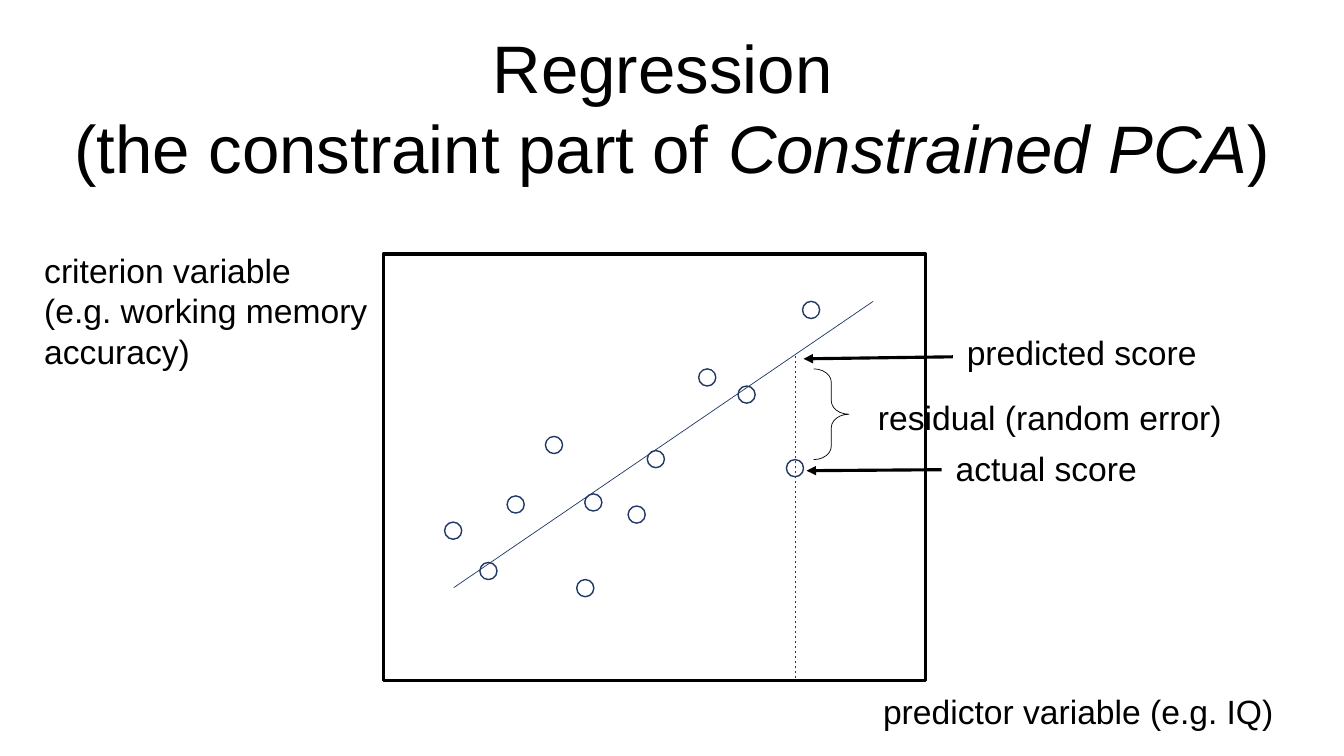
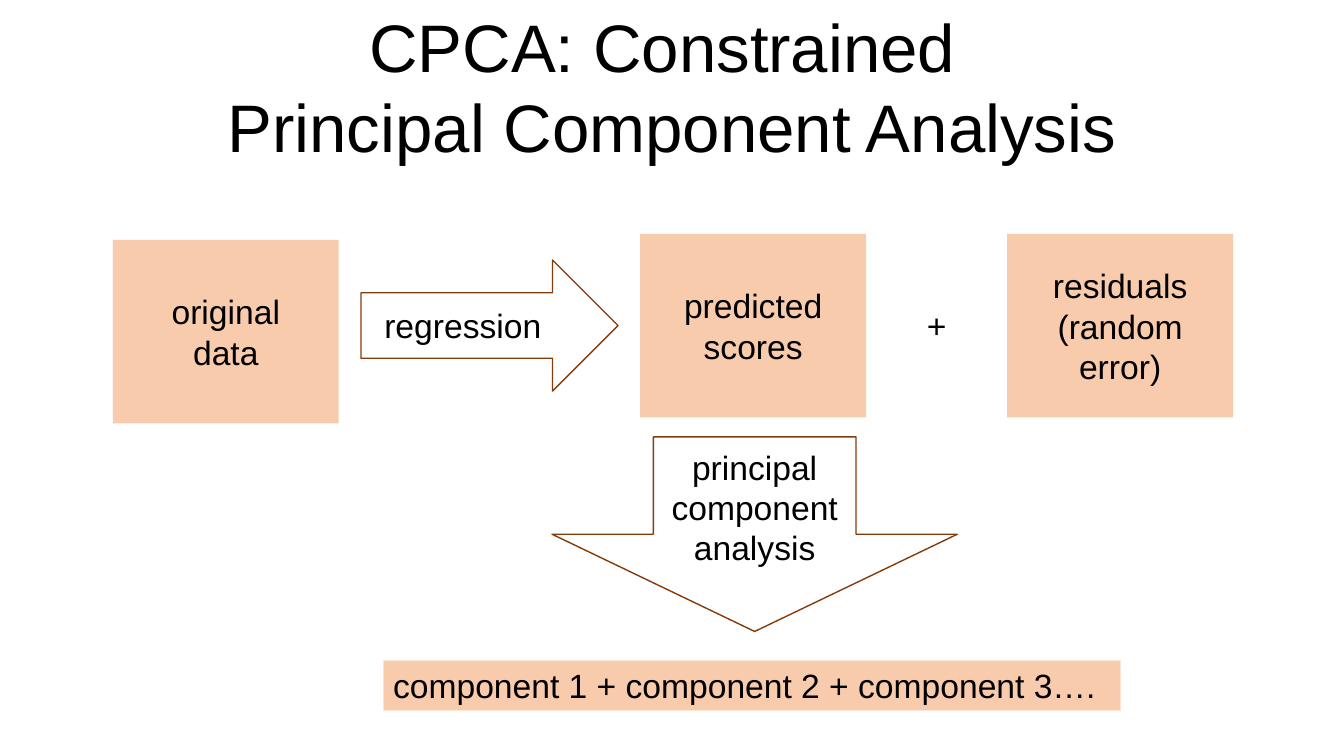
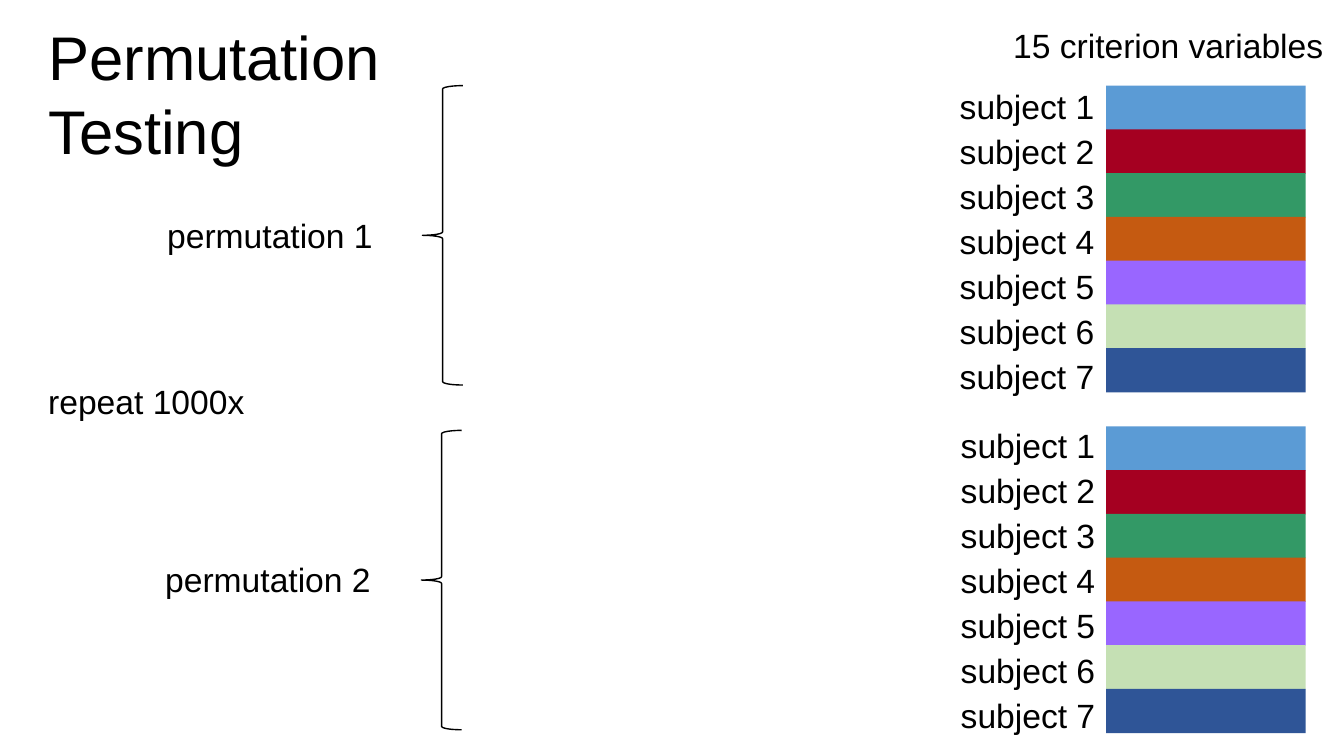
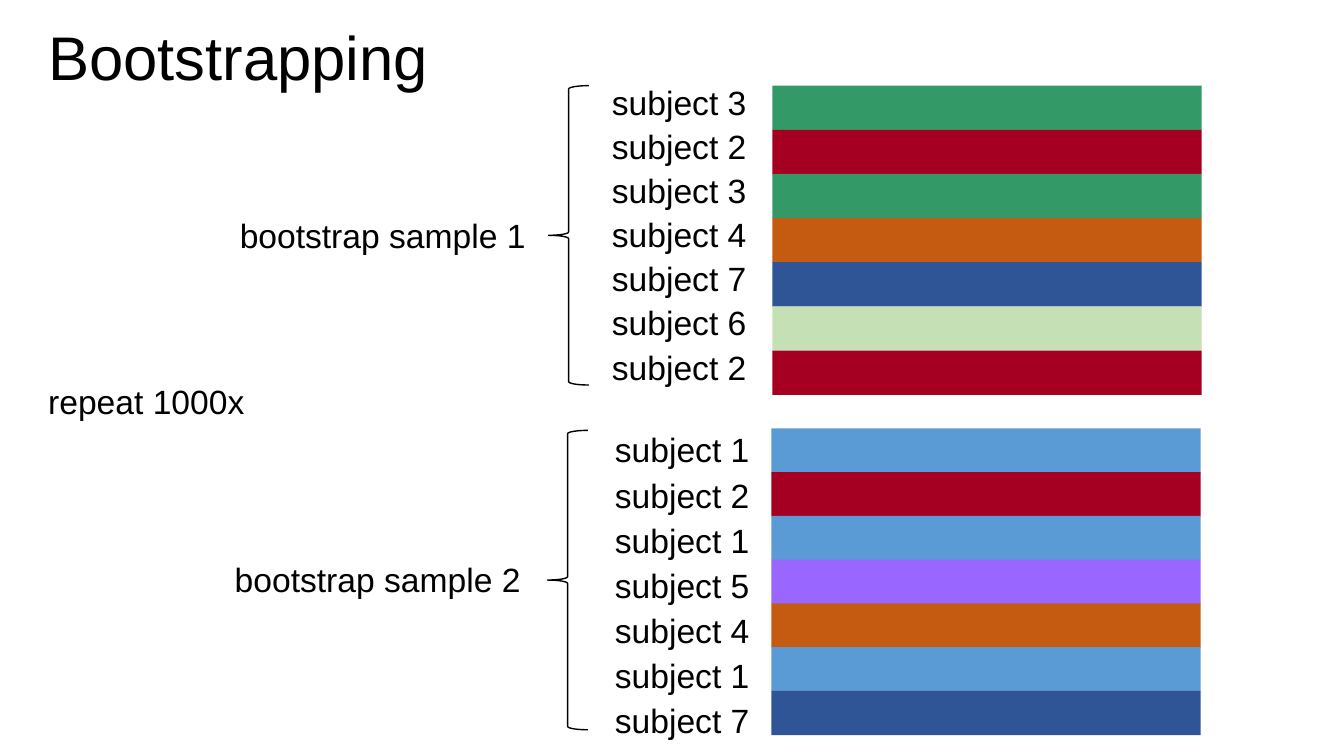
from dataclasses import dataclass

from lxml.etree import SubElement
from pptx import Presentation
from pptx.dml.color import RGBColor
from pptx.enum.dml import MSO_LINE
from pptx.enum.shapes import MSO_CONNECTOR, MSO_SHAPE
from pptx.enum.text import MSO_ANCHOR, PP_ALIGN
from pptx.oxml.ns import qn
from pptx.util import Inches, Pt


@dataclass(frozen=True)
class Theme:
    font: str = "Arial"
    title: int = 48
    side_title: int = 44
    body: int = 24
    ink: str = "000000"
    plot: str = "203864"
    panel: str = "F8CBAD"
    panel_edge: str = "FBE5D6"
    arrow: str = "843C0B"
    subjects: tuple = ("5B9BD5", "A50021", "339966", "C55A11",
                       "9966FF", "C5E0B4", "2F5597")


THEME = Theme()
CELL = Inches(0.1)

REGRESSION_TITLE = ("Regression ",
                    ("(the constraint part of ", "Constrained PCA", ")"))
PLOT_FRAME = (38, 25.2, 53.8, 42.3)
POINT_SIZE = 1.7
POINTS = [(69.3, 36.6), (47.6, 55.8), (54.1, 43.3), (50.3, 49.2),
          (64.2, 44.7), (58, 49), (44.1, 51.8), (78, 45.6),
          (57.2, 57.5), (62.3, 50.2), (73.2, 38.3), (79.6, 29.9)]
FIT_LINE = (45, 58.3, 86.6, 29.9)
DROP_LINE = (78.9, 67.3, 78.9, 35.3)
PLOT_LABELS = [
    ((3.4, 24.3, 34.1, 13.1),
     ("criterion variable", "(e.g. working memory accuracy)")),
    ((86.6, 68.1, 43.9, 5), ("predictor variable (e.g. IQ)",)),
    ((94.9, 32.4, 25.8, 5), ("predicted score",)),
    ((93.8, 43.9, 25.8, 5), ("actual score",)),
    ((86.1, 38.9, 36.4, 5), ("residual (random error)",)),
]
RESIDUAL_BRACE = (80.7, 36.6, 3.5, 9)
POINTERS = [(94.5, 35.4, 79.7, 35.6), (93.4, 46.6, 80, 46.7)]

CPCA_TITLE = ("CPCA: Constrained ", "Principal Component Analysis")
PANEL_SIZE = (22.4, 18.2)
PANELS = [
    ((11.2, 23.8), ("original", "data")),
    ((63.5, 23.2), ("predicted", "scores")),
    ((99.9, 23.2), ("residuals", "(random", "error)")),
]
ARROWS = [
    (MSO_SHAPE.RIGHT_ARROW, (35.8, 25.8, 25.5, 13)),
    (MSO_SHAPE.DOWN_ARROW, (54.75, 43.35, 40.2, 19.3)),
]
STEP_LABELS = [
    ((37, 29.8, 17.8, 5), ("regression",)),
    ((65.5, 43.8, 18.7, 13.1), ("principal", "component", "analysis")),
    ((90.9, 29.8, 4, 5), ("+",)),
]
COMPONENT_BAR = (38, 65.5, 73.1, 5)
COMPONENTS = ("component 1 + component 2 + component 3….",)

REPEAT = ((3.8, 37.3, 21.7, 5), ("repeat 1000x",))
BAR_HEIGHT = 4.4
LABEL_SIZE = (15.5, 5)
BRACE_SIZE = (4, 29.7)
IN_ORDER = (1, 2, 3, 4, 5, 6, 7)
RESAMPLING = [
    {
        "title": ("Permutation", "Testing"),
        "heading": ((99.5, 2, 33.1, 5), ("15 criterion variables",)),
        "bar_width": 19.8,
        "samples": [
            {"name": "permutation 1", "name_box": (15.6, 20.8, 22.6, 5),
             "brace": (41.9, 8.5), "order": IN_ORDER,
             "bars": (109.7, 8.5, 4.34), "labels": (94.2, 8, 4.47)},
            {"name": "permutation 2", "name_box": (15.4, 55, 22.6, 5),
             "brace": (41.8, 42.7), "order": IN_ORDER,
             "bars": (109.7, 42.3, 4.34), "labels": (94.3, 41.7, 4.46)},
        ],
    },
    {
        "title": ("Bootstrapping",),
        "heading": None,
        "bar_width": 42.6,
        "samples": [
            {"name": "bootstrap sample 1", "name_box": (22.8, 20.8, 30.7, 5),
             "brace": (54.4, 8.5), "order": (3, 2, 3, 4, 7, 6, 2),
             "bars": (76.6, 8.5, 4.38), "labels": (59.7, 7.6, 4.38)},
            {"name": "bootstrap sample 2", "name_box": (22.3, 55, 30.7, 5),
             "brace": (54.3, 42.7), "order": (1, 2, 1, 5, 4, 1, 7),
             "bars": (76.5, 42.5, 4.34), "labels": (60, 42.1, 4.48)},
        ],
    },
]


def grid(values):
    return [round(value * CELL) for value in values]


def color(value):
    return RGBColor.from_string(value)


def write(frame, lines, size=THEME.body, align=PP_ALIGN.LEFT,
          anchor=MSO_ANCHOR.TOP, wrap=True):
    frame.word_wrap = wrap
    frame.vertical_anchor = anchor
    for number, line in enumerate(lines):
        paragraph = frame.paragraphs[0] if number == 0 else frame.add_paragraph()
        paragraph.alignment = align
        parts = (line,) if isinstance(line, str) else line
        for index, part in enumerate(parts):
            run = paragraph.add_run()
            run.text = part
            run.font.name = THEME.font
            run.font.size = Pt(size)
            run.font.italic = index % 2 == 1
            run.font.color.rgb = color(THEME.ink)


def add_text(slide, box, lines, **text_format):
    write(slide.shapes.add_textbox(*grid(box)).text_frame, lines, **text_format)


def add_figure(slide, kind, box, fill=None, line=None, width=1):
    shape = slide.shapes.add_shape(kind, *grid(box))
    shape.shadow.inherit = False
    if fill:
        shape.fill.solid()
        shape.fill.fore_color.rgb = color(fill)
    else:
        shape.fill.background()
    if line:
        shape.line.color.rgb = color(line)
        shape.line.width = Pt(width)
    else:
        shape.line.fill.background()
    return shape


def add_line(slide, ends, line, width, dash=None, arrow=False):
    connector = slide.shapes.add_connector(MSO_CONNECTOR.STRAIGHT, *grid(ends))
    connector.line.color.rgb = color(line)
    connector.line.width = Pt(width)
    if dash:
        connector.line.dash_style = dash
    if arrow:
        SubElement(connector.line._get_or_add_ln(), qn("a:tailEnd"), type="triangle")
    SubElement(connector._element.spPr, qn("a:effectLst"))


def build_regression(slide):
    add_text(slide, (5.3, 2.1, 122.7, 17.2), REGRESSION_TITLE,
             size=THEME.title, align=PP_ALIGN.CENTER)
    add_figure(slide, MSO_SHAPE.RECTANGLE, PLOT_FRAME, line=THEME.ink, width=2.25)
    for point in POINTS:
        add_figure(slide, MSO_SHAPE.FLOWCHART_CONNECTOR,
                   (*point, POINT_SIZE, POINT_SIZE), line=THEME.plot)
    add_line(slide, FIT_LINE, THEME.plot, 0.5)
    add_line(slide, DROP_LINE, THEME.plot, 0.5, dash=MSO_LINE.DASH)
    for box, lines in PLOT_LABELS:
        add_text(slide, box, lines)
    brace = add_figure(slide, MSO_SHAPE.RIGHT_BRACE, RESIDUAL_BRACE,
                       line=THEME.ink, width=0.5)
    brace.adjustments[0] = 0.38
    for pointer in POINTERS:
        add_line(slide, pointer, THEME.ink, 2.25, arrow=True)


def build_cpca(slide):
    add_text(slide, (15.9, 0, 101.5, 17.2), CPCA_TITLE,
             size=THEME.title, align=PP_ALIGN.CENTER)
    for corner, lines in PANELS:
        panel = add_figure(slide, MSO_SHAPE.RECTANGLE, (*corner, *PANEL_SIZE),
                           fill=THEME.panel)
        write(panel.text_frame, lines, align=PP_ALIGN.CENTER,
              anchor=MSO_ANCHOR.MIDDLE)
    for kind, box in ARROWS:
        add_figure(slide, kind, box, line=THEME.arrow)
    for box, lines in STEP_LABELS:
        add_text(slide, box, lines, align=PP_ALIGN.CENTER)
    bar = add_figure(slide, MSO_SHAPE.RECTANGLE, COMPONENT_BAR,
                     fill=THEME.panel, line=THEME.panel_edge, width=0.75)
    write(bar.text_frame, COMPONENTS)


def add_sample(slide, sample, bar_width):
    bar_left, bar_top, bar_pitch = sample["bars"]
    label_left, label_top, label_pitch = sample["labels"]
    for row, subject in enumerate(sample["order"]):
        add_figure(slide, MSO_SHAPE.RECTANGLE,
                   (bar_left, bar_top + row * bar_pitch, bar_width, BAR_HEIGHT),
                   fill=THEME.subjects[subject - 1])
        add_text(slide, (label_left, label_top + row * label_pitch, *LABEL_SIZE),
                 (f"subject {subject}",), wrap=False)
    add_text(slide, sample["name_box"], (sample["name"],), wrap=False)
    add_figure(slide, MSO_SHAPE.LEFT_BRACE, (*sample["brace"], *BRACE_SIZE),
               line=THEME.ink)


def build_resampling(slide, content):
    add_text(slide, (3.8, 1.4, 40.1, 8.4 * len(content["title"])),
             content["title"], size=THEME.side_title)
    if content["heading"]:
        add_text(slide, *content["heading"], wrap=False)
    for sample in content["samples"]:
        add_sample(slide, sample, content["bar_width"])
    add_text(slide, *REPEAT)


presentation = Presentation()
presentation.slide_width = Inches(13.33)
presentation.slide_height = Inches(7.5)
blank = presentation.slide_layouts[6]
build_regression(presentation.slides.add_slide(blank))
build_cpca(presentation.slides.add_slide(blank))
for content in RESAMPLING:
    build_resampling(presentation.slides.add_slide(blank), content)
presentation.save("out.pptx")
